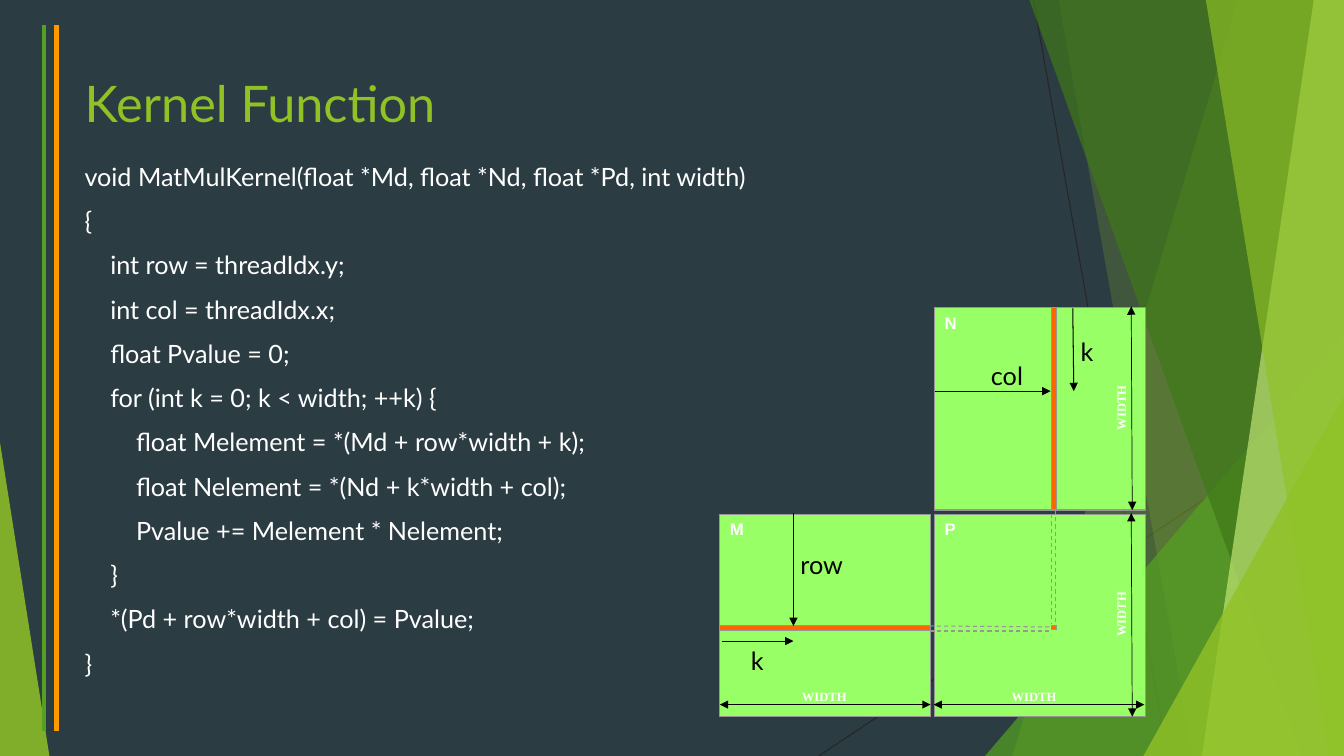
"""Build the Kernel Function slide with its matrix multiplication diagram."""
from lxml.etree import SubElement
from pptx import Presentation
from pptx.dml.color import RGBColor
from pptx.enum.dml import MSO_LINE_DASH_STYLE as DASH
from pptx.enum.shapes import MSO_CONNECTOR as CONNECTOR, MSO_SHAPE as SHAPE
from pptx.enum.text import MSO_ANCHOR as ANCHOR, MSO_AUTO_SIZE as AUTO_SIZE, PP_ALIGN as ALIGN
from pptx.oxml.ns import qn
from pptx.util import Inches, Pt

color = RGBColor.from_string

GREEN, DARK_GREEN, ORANGE, GRAY = "90C226", "54A021", "FF6600", "969696"
BLACK, WHITE, CELL = "000000", "FFFFFF", "99FF66"
TITLE_FONT = {"name": "Lato", "size": Pt(36), "bold": False}
CODE_FONT = {"name": "Lato", "size": Pt(18), "bold": False}
MATRIX_FONT = {"name": "Arial", "size": Pt(12), "bold": True}
WIDTH_FONT = {"name": "Times New Roman", "size": Pt(9), "bold": True}


def add_line(start, end, line_color, width, arrows=(), dash=None):
    """Draw a straight line, with arrowheads at the named ends."""
    points = [Inches(value) for value in (*start, *end)]
    connector = slide.shapes.add_connector(CONNECTOR.STRAIGHT, *points)
    connector.line.color.rgb = color(line_color)
    connector.line.width = Pt(width)
    connector.line.dash_style = dash
    for arrow in arrows:
        SubElement(connector.line._get_or_add_ln(), qn(f"a:{arrow}"), type="triangle")
    SubElement(connector._element.spPr, qn("a:effectLst"))


def write_text(shape, lines, font, text_color, alignment=ALIGN.LEFT, wrap=True, space=0):
    """Write one paragraph per line, with space before all but the first."""
    frame = shape.text_frame
    frame.word_wrap = wrap
    frame.vertical_anchor = ANCHOR.TOP
    for index, line in enumerate(lines):
        paragraph = frame.add_paragraph() if index else frame.paragraphs[0]
        paragraph.text = line
        paragraph.alignment = alignment
        paragraph.space_before = Pt(space if index else 0)
        for name, value in font.items():
            setattr(paragraph.font, name, value)
        paragraph.font.color.rgb = color(text_color)


presentation = Presentation()
presentation.slide_width = Inches(13.33)
presentation.slide_height = Inches(7.5)
slide = presentation.slides.add_slide(presentation.slide_layouts[5])
slide.background.fill.solid()
slide.background.fill.fore_color.rgb = color("2C3C43")

add_line((10.25, 0), (11.58, 7.5), "262626", 0.75)
add_line((13.33, 4.03), (8.12, 7.5), "262626", 0.75)

# Bands give the left edge at top and bottom; triangles give box and apex.
facets = [
    ((12.28, 10.04), GREEN, 30),
    ((10.5, 11.83), GREEN, 20),
    ((9.77, 3.33, 3.56, 4.17, 1), DARK_GREEN, 72),
    ((10.21, 12.91), "3F7819", 70),
    ((13.03, 11.92), "C0E474", 70),
    ((11.96, 13.18), GREEN, 65),
    ((11.34, 3.93, 1.99, 3.57, 1), GREEN, 80),
    ((0, 4.39, 0.49, 3.11, 0), GREEN, 85),
]
for geometry, fill, opacity in facets:
    if len(geometry) == 2:
        top_x, bottom_x = geometry
        builder = slide.shapes.build_freeform(Inches(top_x), Inches(0))
        corners = [(13.33, 0), (13.33, 7.5), (bottom_x, 7.5)]
        builder.add_line_segments([(Inches(x), Inches(y)) for x, y in corners])
        facet = builder.convert_to_shape()
    else:
        *box, apex = geometry
        facet = slide.shapes.add_shape(SHAPE.ISOSCELES_TRIANGLE, *map(Inches, box))
        facet.adjustments[0] = apex
    facet.shadow.inherit = False
    facet.fill.solid()
    facet.fill.fore_color.rgb = color(fill)
    facet.line.fill.background()
    fill_color = facet._element.spPr.find(qn("a:solidFill"))[0]
    SubElement(fill_color, qn("a:alpha"), val=str(opacity * 1000))

for x, rule_color in [(0.44, DARK_GREEN), (0.56, "FF9900")]:
    add_line((x, 0.25), (x, 7.25), rule_color, 3)

title = slide.shapes.title
title.left, title.top, title.width, title.height = map(Inches, (0.74, 0.67, 9.4, 1.44))
write_text(title, ["Kernel Function"], TITLE_FONT, GREEN)

code = """void MatMulKernel(float *Md, float *Nd, float *Pd, int width)
{
    int row = threadIdx.y;
    int col = threadIdx.x;
    float Pvalue = 0;
    for (int k = 0; k < width; ++k) {
        float Melement = *(Md + row*width + k);
        float Nelement = *(Nd + k*width + col);
        Pvalue += Melement * Nelement;
    }
    *(Pd + row*width + col) = Pvalue;
}"""
code_box = slide.shapes.add_textbox(*map(Inches, (0.74, 1.55, 9.4, 5.06)))
write_text(code_box, code.splitlines(), CODE_FONT, WHITE, space=10)

rectangles = [
    ("M", 7.14, 5.1, 2.09, 2.01, CELL),
    ("N", 9.27, 3.05, 2.09, 2.01, CELL),
    ("P", 9.27, 5.1, 2.09, 2.01, CELL),
    ("", 10.43, 3.05, 0.05, 2.01, ORANGE),
    ("", 7.14, 6.21, 2.09, 0.05, ORANGE),
    ("", 10.43, 6.21, 0.05, 0.04, ORANGE),
]
for name, *box, fill in rectangles:
    rectangle = slide.shapes.add_shape(SHAPE.RECTANGLE, *map(Inches, box))
    rectangle.shadow.inherit = False
    rectangle.fill.solid()
    rectangle.fill.fore_color.rgb = color(fill)
    rectangle.line.color.rgb = color(GRAY)
    rectangle.line.width = Pt(0.75)
    if name:
        write_text(rectangle, [name], MATRIX_FONT, WHITE)

guides = [
    ((10.47, 5.06), (10.47, 6.21)),
    ((10.43, 5.03), (10.43, 6.19)),
    ((9.22, 6.21), (10.42, 6.22)),
    ((9.22, 6.26), (10.42, 6.26)),
]
for start, end in guides:
    add_line(start, end, GRAY, 0.75, dash=DASH.DASH)

dimensions = [
    ((11.35, 6.99), (9.26, 6.99)),
    ((9.23, 6.99), (7.14, 6.99)),
    ((11.23, 5.06), (11.22, 3.04)),
    ((11.23, 7.11), (11.22, 5.09)),
]
for start, end in dimensions:
    add_line(start, end, BLACK, 0.5, arrows=("headEnd", "tailEnd"))

for left, top, rotation in [(10.89, 3.97, 270), (10.89, 6.02, 270), (7.95, 6.83, 0), (10.03, 6.83, 0)]:
    width_label = slide.shapes.add_textbox(*map(Inches, (left, top, 0.45, 0.15)))
    width_label.rotation = rotation
    for side in ("left", "top", "right", "bottom"):
        setattr(width_label.text_frame, f"margin_{side}", 0)
    write_text(width_label, ["WIDTH"], WIDTH_FONT, WHITE, ALIGN.CENTER, wrap=False)
    width_label.text_frame.auto_size = AUTO_SIZE.SHAPE_TO_FIT_TEXT

indices = [
    ("row", (7.87, 5.09), (7.87, 6.21), (7.84, 5.4, 0.62, 0.41)),
    ("k", (7.16, 6.36), (7.87, 6.36), (7.35, 6.35, 0.33, 0.41)),
    ("k", (10.64, 3.06), (10.65, 3.88), (10.62, 3.29, 0.33, 0.41)),
    ("col", (9.27, 3.88), (10.42, 3.88), (9.73, 3.53, 0.53, 0.41)),
]
for name, start, end, box in indices:
    add_line(start, end, BLACK, 0.75, arrows=("tailEnd",))
    index_label = slide.shapes.add_textbox(*map(Inches, box))
    write_text(index_label, [name], CODE_FONT, BLACK, wrap=False)
    index_label.text_frame.auto_size = AUTO_SIZE.SHAPE_TO_FIT_TEXT

presentation.save("out.pptx")
